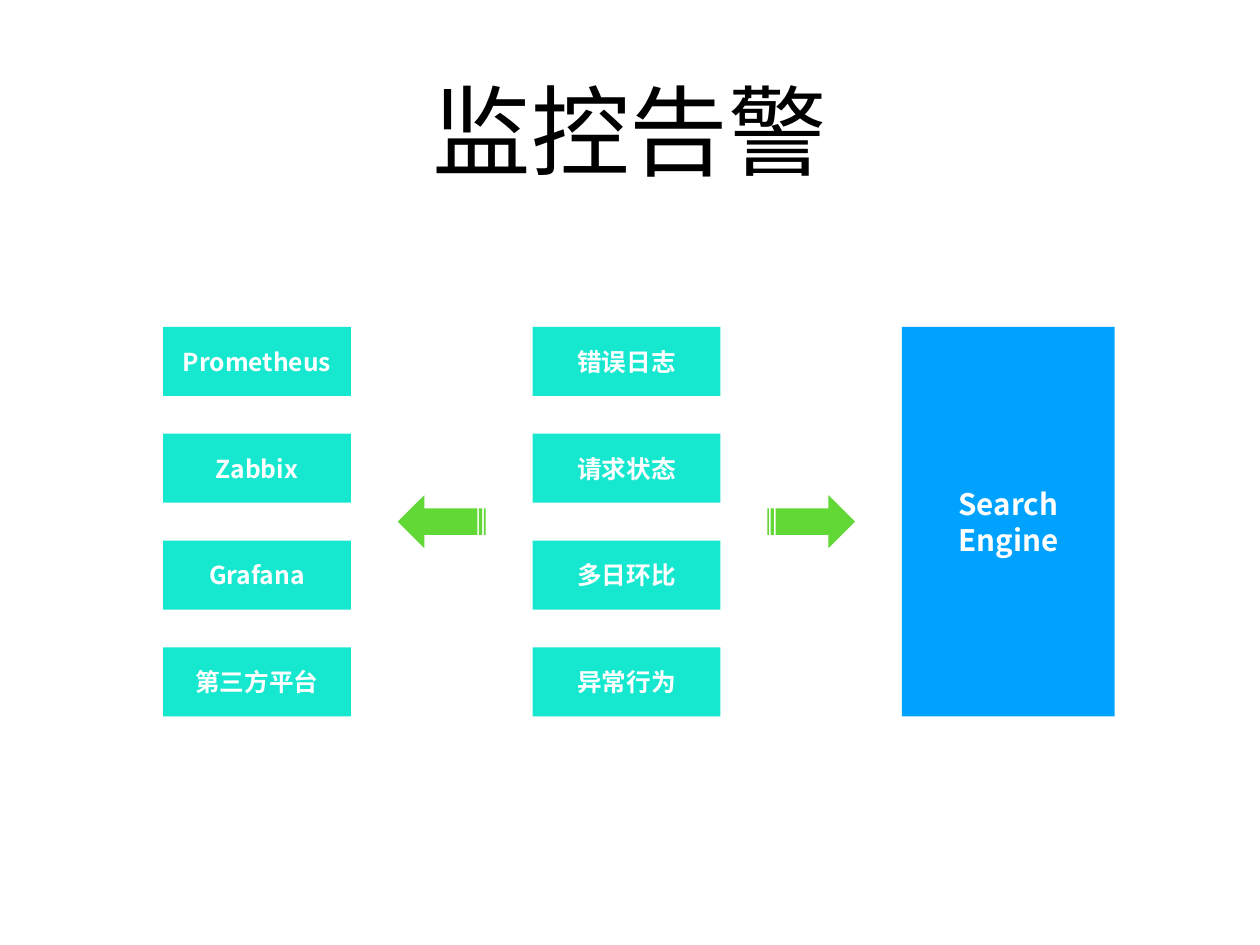
from dataclasses import dataclass
from pptx import Presentation
from pptx.dml.color import RGBColor as Rgb
from pptx.enum.shapes import MSO_SHAPE as Kind
from pptx.enum.text import MSO_ANCHOR as Anchor, PP_ALIGN as Align
from pptx.oxml.ns import qn
from pptx.shapes.autoshape import Shape
from pptx.slide import Slide
from pptx.util import Inches, Pt


@dataclass(frozen=True)
class Theme:
    ink: str = "000000"
    light: str = "FFFFFF"
    teal: str = "16E7CF"
    blue: str = "00A2FF"
    green: str = "61D836"
    head: str = "Arial"
    body: str = "Noto Sans CJK SC"
    title: int = 80
    large: int = 24
    small: int = 20


@dataclass(frozen=True)
class Grid:
    left: float = 1.84
    top: float = 3.69
    step: float = 4.17
    width: float = 2.12
    height: float = 0.78
    depth: float = 4.4
    rows: int = 4

    def col(self, num: int) -> float:
        return self.left + num * self.step

    def row(self, num: int) -> float:
        return self.top + num * (self.depth - self.height) / (self.rows - 1)

    def gap(self, num: int) -> float:
        return (self.col(num) + self.width + self.col(num + 1)) / 2


@dataclass(frozen=True)
class Box:
    left: float
    top: float
    width: float
    height: float
    fill: str
    text: str = ""
    size: int = 0
    kind: Kind = Kind.RECTANGLE
    turn: int = 0


THEME = Theme()
GRID = Grid()
WIDE, HIGH = 14.22, 10.67
ARROW = (0.99, 0.6)
LISTS = (
    ("Prometheus", "Zabbix", "Grafana", "第三方平台"),
    ("错误日志", "请求状态", "多日环比", "异常行为"),
)


def write(shape: Shape, text: str, face: str, size: int, color: str, bold: bool) -> None:
    frame = shape.text_frame
    inset = Inches(0.06)
    layout = {
        "word_wrap": True,
        "vertical_anchor": Anchor.MIDDLE,
        "margin_left": inset,
        "margin_right": inset,
        "margin_top": inset,
        "margin_bottom": inset,
    }
    for key, value in layout.items():
        setattr(frame, key, value)
    para = frame.paragraphs[0]
    para.alignment = Align.CENTER
    run = para.add_run()
    run.text = text
    for key, value in {"name": face, "size": Pt(size), "bold": bold}.items():
        setattr(run.font, key, value)
    run.font.color.rgb = Rgb.from_string(color)
    east = run.font._element.makeelement(qn("a:ea"), {"typeface": THEME.body})
    run.font._element.append(east)


def draw(slide: Slide, box: Box) -> None:
    place = map(Inches, (box.left, box.top, box.width, box.height))
    shape = slide.shapes.add_shape(box.kind, *place)
    shape.shadow.inherit = False
    shape.fill.solid()
    shape.fill.fore_color.rgb = Rgb.from_string(box.fill)
    shape.line.fill.background()
    shape.rotation = box.turn
    if box.text:
        write(shape, box.text, THEME.body, box.size, THEME.light, True)


def arrow(gap: int, turn: int) -> Box:
    width, height = ARROW
    left = GRID.gap(gap) - width / 2
    top = GRID.top + (GRID.depth - height) / 2
    return Box(left, top, width, height, THEME.green, kind=Kind.STRIPED_RIGHT_ARROW, turn=turn)


def main() -> None:
    deck = Presentation()
    deck.slide_width, deck.slide_height = Inches(WIDE), Inches(HIGH)
    slide = deck.slides.add_slide(deck.slide_layouts[6])
    width = 12.14
    title = slide.shapes.add_textbox(
        Inches((WIDE - width) / 2), Inches(0.28), Inches(width), Inches(2.36)
    )
    write(title, "监控告警", THEME.head, THEME.title, THEME.ink, False)
    boxes = [
        Box(GRID.col(col), GRID.row(row), GRID.width, GRID.height, THEME.teal, text, THEME.small)
        for col, names in enumerate(LISTS)
        for row, text in enumerate(names)
    ]
    store = Box(GRID.col(2), GRID.top, 2.4, GRID.depth, THEME.blue, "Search Engine", THEME.large)
    for box in (*boxes, store, arrow(0, 180), arrow(1, 0)):
        draw(slide, box)
    deck.save("out.pptx")


if __name__ == "__main__":
    main()
